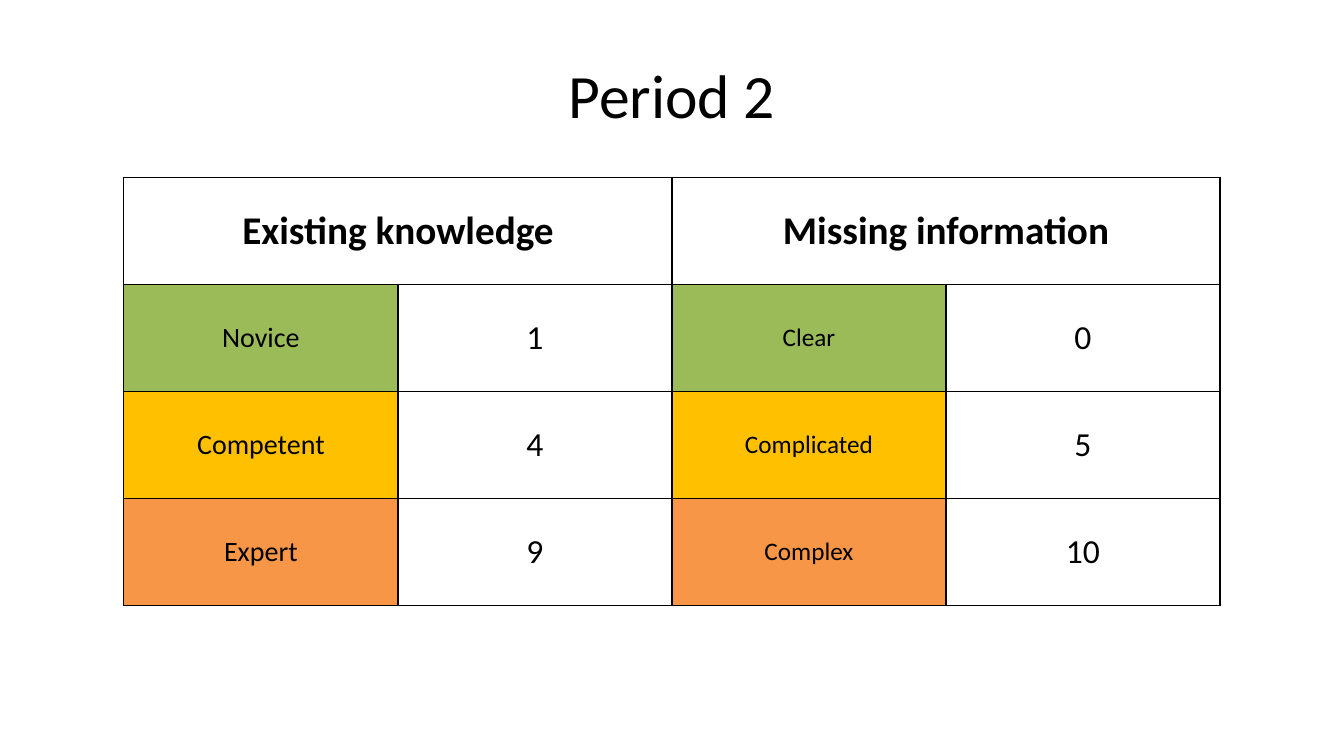
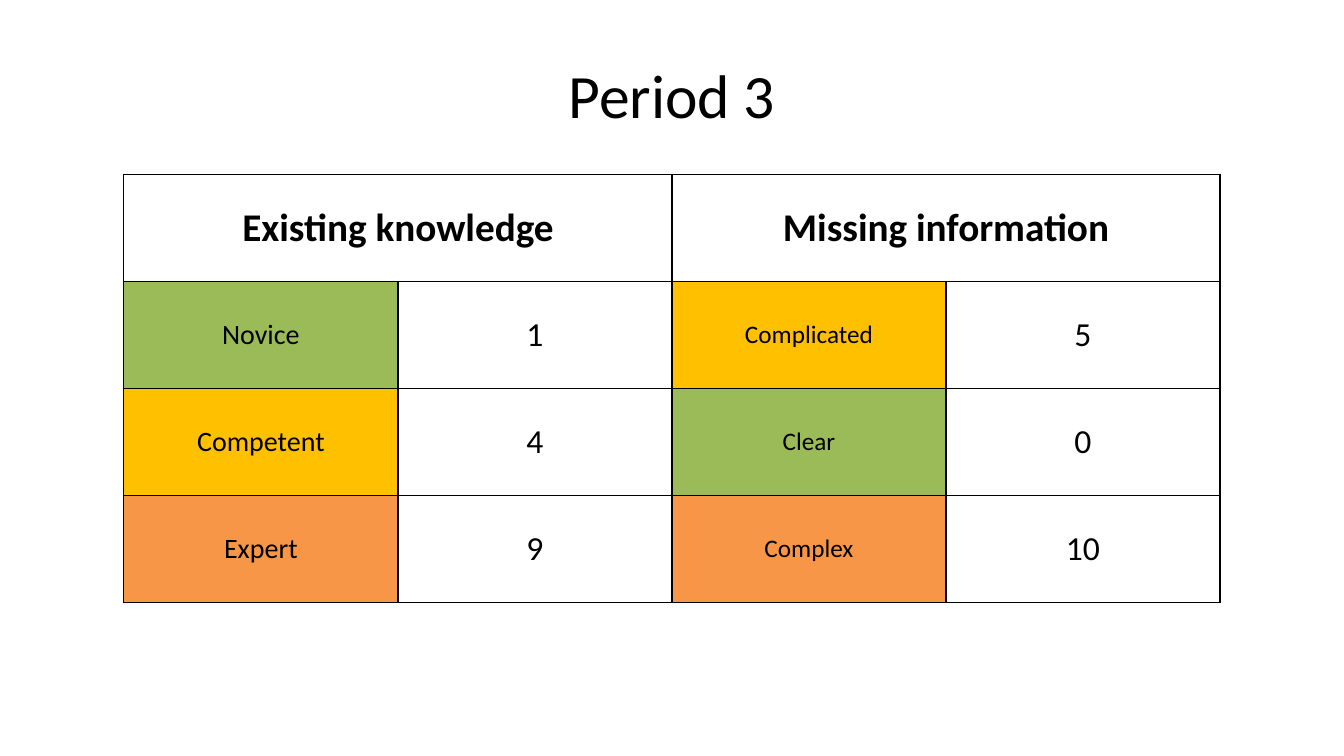
from dataclasses import dataclass

from lxml.etree import SubElement
from pptx import Presentation
from pptx.dml.color import RGBColor
from pptx.enum.text import MSO_ANCHOR, PP_ALIGN
from pptx.oxml.ns import qn
from pptx.util import Pt

PX = 9525  # EMU in one pixel, 96 pixels to the inch


@dataclass(frozen=True)
class Theme:
    font: str = "Calibri"
    text: str = "000000"
    border: str = "000000"
    plain: str = "FFFFFF"
    low: str = "9BBB59"
    medium: str = "FFC000"
    high: str = "F79646"
    title_size: int = 44
    header_size: int = 28
    level_size: int = 20
    clarity_size: int = 18
    score_size: int = 24
    border_width: int = 1


THEME = Theme()

SLIDE_SIZE = (1280, 720)
TITLE_BOX = (64, 29, 1152, 120)
TABLE_LEFT, COLUMN_WIDTH, ROW_HEIGHT = 118, 261, 102
CELL_INSET = 1

HEADERS = ("Existing knowledge", "Missing information")
KNOWLEDGE = (
    ("Novice", "1", THEME.low),
    ("Competent", "4", THEME.medium),
    ("Expert", "9", THEME.high),
)
CLEAR = ("Clear", "0", THEME.low)
COMPLICATED = ("Complicated", "5", THEME.medium)
COMPLEX = ("Complex", "10", THEME.high)

# title, table top, order of the missing information
PERIODS = (
    ("Period 2", 169, (CLEAR, COMPLICATED, COMPLEX)),
    ("Period 3", 166, (COMPLICATED, CLEAR, COMPLEX)),
)


def px(*lengths):
    return [length * PX for length in lengths]


def write(text_frame, text, size, bold=False):
    text_frame.word_wrap = True
    text_frame.vertical_anchor = MSO_ANCHOR.MIDDLE
    paragraph = text_frame.paragraphs[0]
    paragraph.text = text
    paragraph.alignment = PP_ALIGN.CENTER
    paragraph.font.name = THEME.font
    paragraph.font.size = Pt(size)
    paragraph.font.bold = bold
    paragraph.font.color.rgb = RGBColor.from_string(THEME.text)


def style_cell(cell, fill):
    """Draw the four borders, then the fill, in the order the schema asks for."""
    properties = cell._tc.get_or_add_tcPr()
    for side in ("a:lnL", "a:lnR", "a:lnT", "a:lnB"):
        line = SubElement(properties, qn(side), w=str(Pt(THEME.border_width)))
        solid = SubElement(line, qn("a:solidFill"))
        SubElement(solid, qn("a:srgbClr"), val=THEME.border)
    cell.fill.solid()
    cell.fill.fore_color.rgb = RGBColor.from_string(fill)


def fill_cell(cell, text, size, fill=THEME.plain, bold=False):
    style_cell(cell, fill)
    cell.margin_left = cell.margin_right = CELL_INSET * PX
    cell.margin_top = cell.margin_bottom = CELL_INSET * PX
    cell.vertical_anchor = MSO_ANCHOR.MIDDLE
    write(cell.text_frame, text, size, bold)


def add_title(slide, text):
    title = slide.shapes.add_textbox(*px(*TITLE_BOX))
    write(title.text_frame, text, THEME.title_size)


def add_score_table(slide, top, missing):
    groups = (
        (HEADERS[0], KNOWLEDGE, THEME.level_size),
        (HEADERS[1], missing, THEME.clarity_size),
    )
    row_count, column_count = 1 + len(KNOWLEDGE), 2 * len(groups)
    frame = slide.shapes.add_table(
        row_count, column_count,
        *px(TABLE_LEFT, top, column_count * COLUMN_WIDTH, row_count * ROW_HEIGHT),
    )
    table = frame.table
    table.first_row = table.horz_banding = False

    for group_index, (header, entries, label_size) in enumerate(groups):
        column = 2 * group_index
        header_cell, header_end = table.cell(0, column), table.cell(0, column + 1)
        header_cell.merge(header_end)
        fill_cell(header_cell, header, THEME.header_size, bold=True)
        style_cell(header_end, THEME.plain)
        for row, (label, score, color) in enumerate(entries, start=1):
            fill_cell(table.cell(row, column), label, label_size, color)
            fill_cell(table.cell(row, column + 1), score, THEME.score_size)


def main():
    presentation = Presentation()
    presentation.slide_width, presentation.slide_height = px(*SLIDE_SIZE)
    blank_layout = presentation.slide_layouts[6]
    for title, table_top, missing in PERIODS:
        slide = presentation.slides.add_slide(blank_layout)
        add_title(slide, title)
        add_score_table(slide, table_top, missing)
    presentation.save("out.pptx")


if __name__ == "__main__":
    main()
